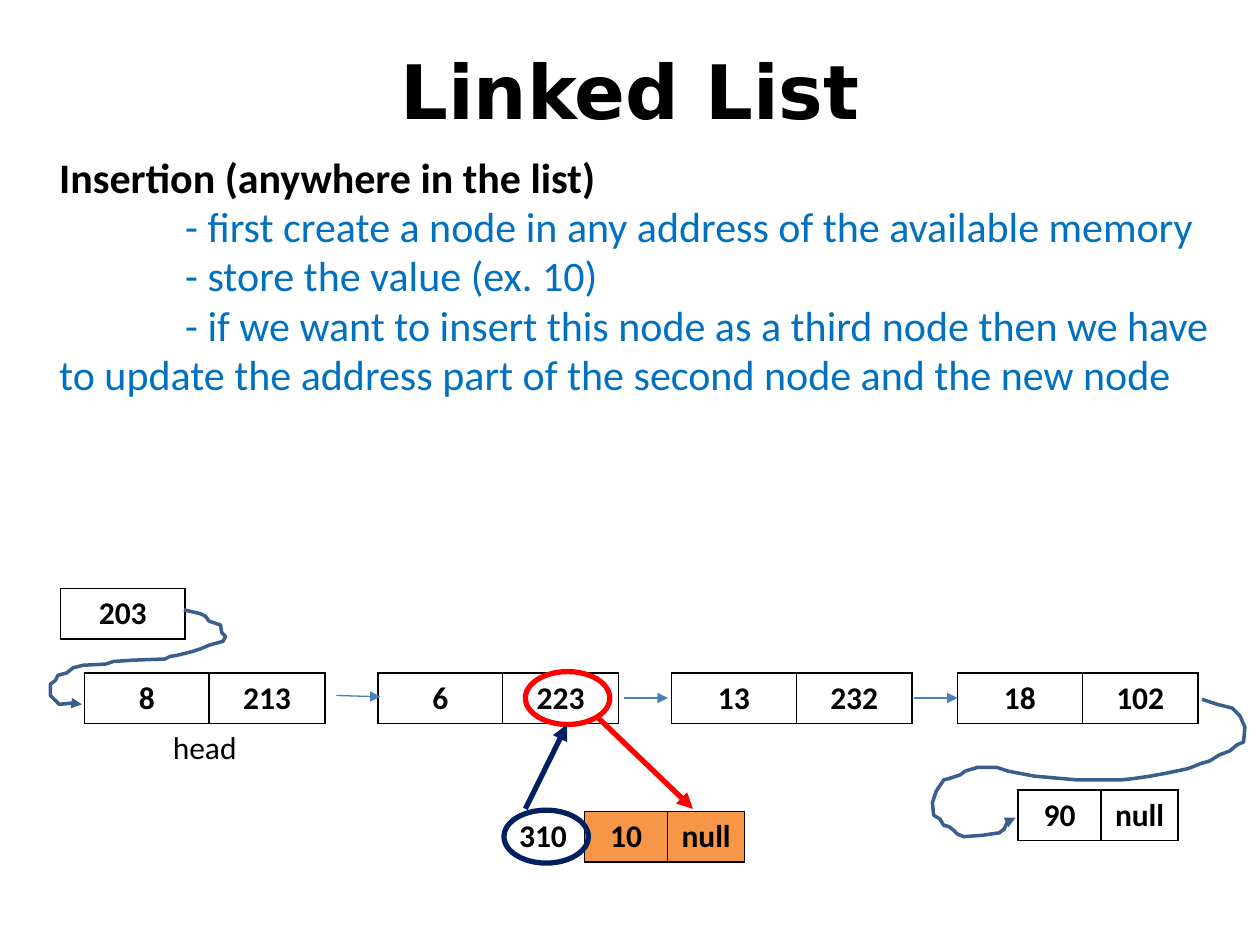
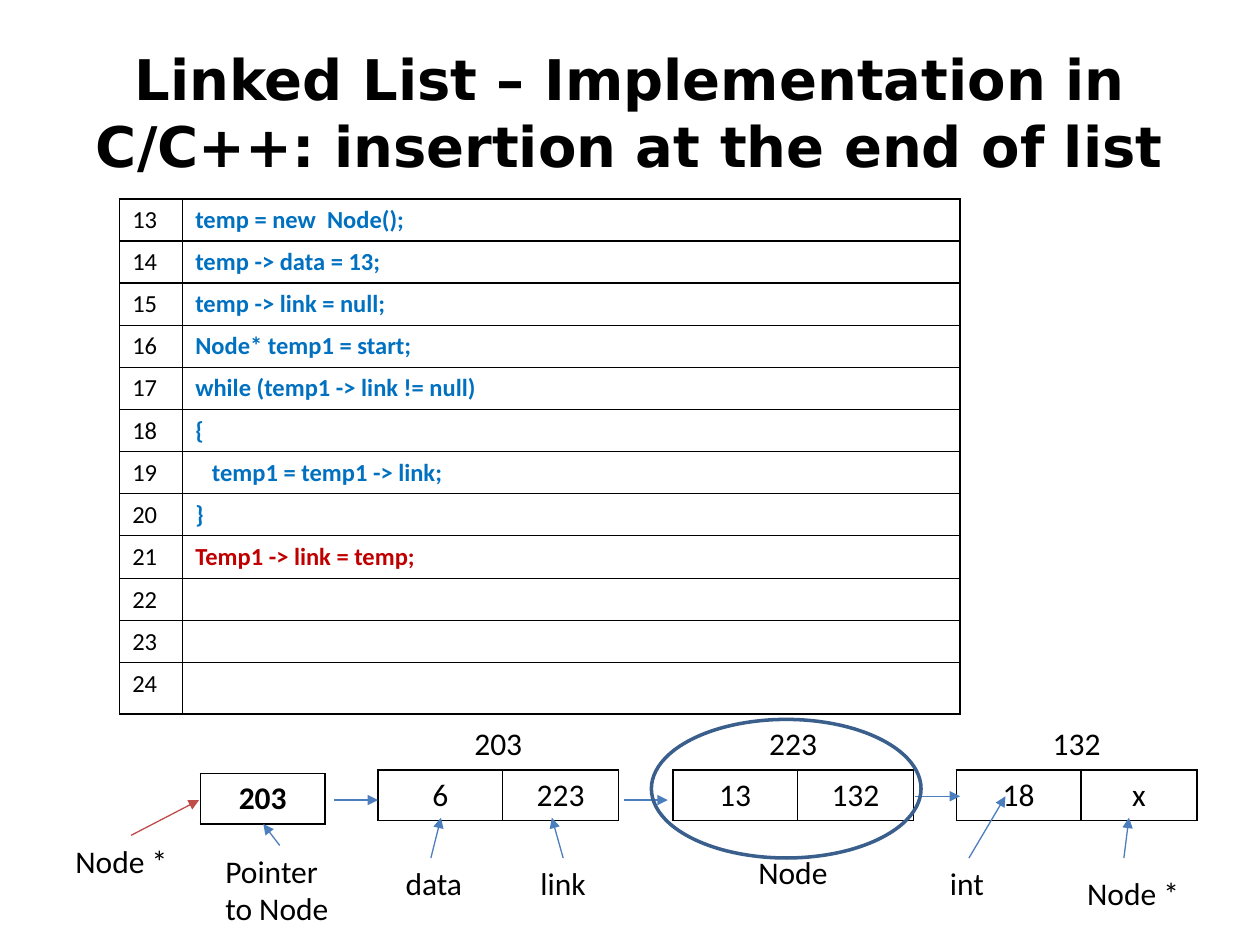
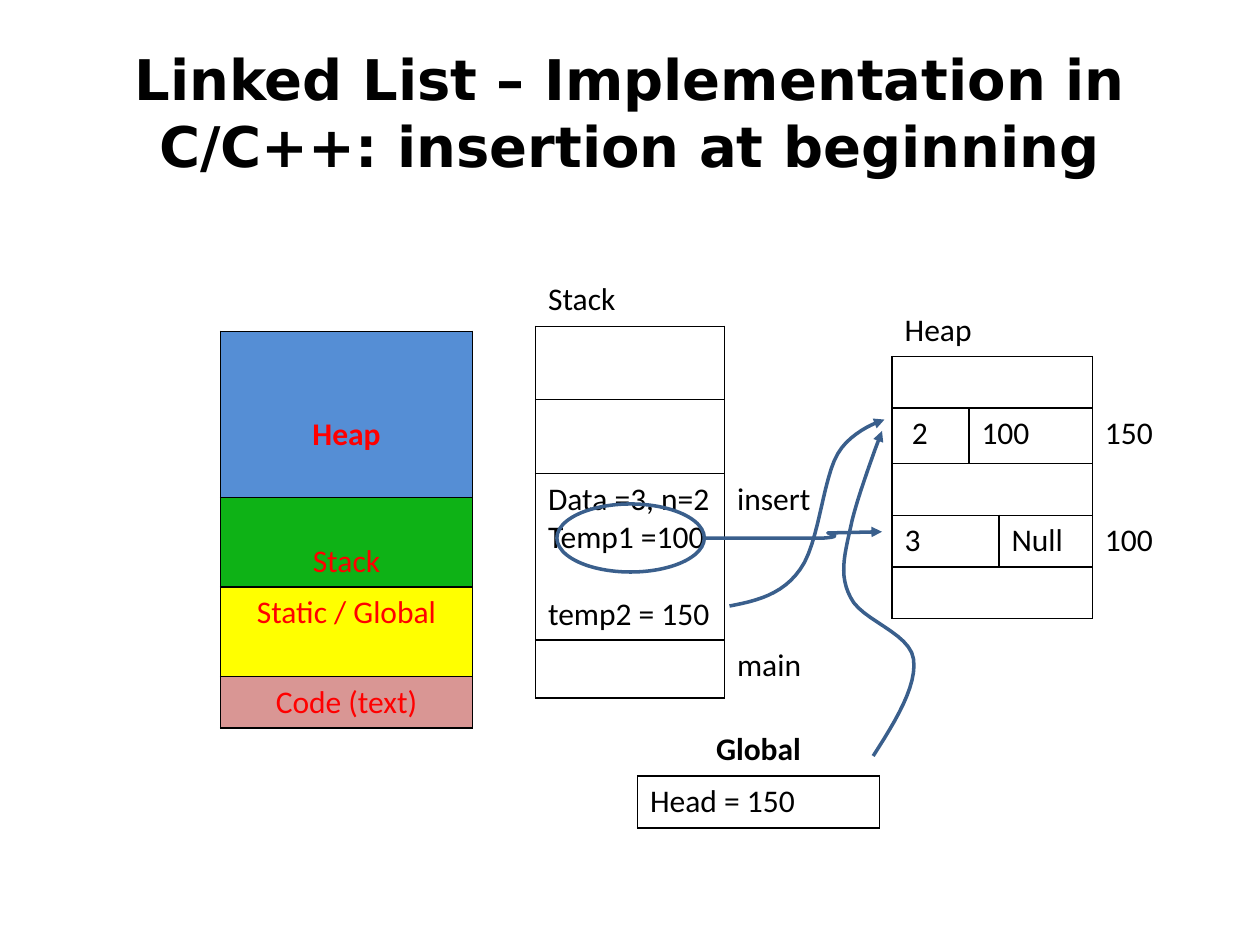
from dataclasses import dataclass, replace
from typing import NamedTuple

from lxml import etree
from pptx import Presentation
from pptx import util as u
from pptx.dml.color import RGBColor
from pptx.enum import shapes, text
from pptx.oxml.ns import qn

# Shared scale, fonts and colours
PX = 9144  # EMU per px, 100 px to the inch
BODY_FONT, TITLE_FONT = "Calibri", "DejaVu Sans"
BLACK = RGBColor(0x00, 0x00, 0x00)
BLUE = RGBColor(0x00, 0x70, 0xC0)
DARK_RED = RGBColor(0xC0, 0x00, 0x00)
RED = RGBColor(0xFF, 0x00, 0x00)
NAVY = RGBColor(0x00, 0x20, 0x60)
ARROW_BLUE = RGBColor(0x4B, 0x7E, 0xBC)
ARROW_RED = RGBColor(0xBF, 0x4C, 0x48)
OUTLINE = RGBColor(0x3A, 0x5F, 0x8C)
ORANGE = RGBColor(0xF7, 0x96, 0x46)
HEAP_BLUE = RGBColor(0x55, 0x8E, 0xD5)
STACK_GREEN = RGBColor(0x0E, 0xB2, 0x16)
GLOBAL_YELLOW = RGBColor(0xFF, 0xFF, 0x00)
CODE_PINK = RGBColor(0xD9, 0x96, 0x94)
Align, Anchor = text.PP_ALIGN, text.MSO_ANCHOR
LEFT, CENTER = Align.LEFT, Align.CENTER
TOP, MIDDLE = Anchor.TOP, Anchor.MIDDLE
NODE_COLS = (99, 92)
NODE_ROW = 40
Point = tuple[float, float]


@dataclass(frozen=True)
class Cell:
    text: str = ""
    size: int = 18
    bold: bool = False
    color: RGBColor = BLACK
    align: Align = LEFT
    anchor: Anchor = TOP
    span: int = 1
    borders: str = "LRTB"
    fill: RGBColor | None = None
    pad_top: int = 5
    pad_bottom: int = 5
    last_gap: int = 0


@dataclass(frozen=True)
class Arrow:
    x1: int
    y1: int
    x2: int
    y2: int
    color: RGBColor = ARROW_BLUE
    width: float = 0.75


class Label(NamedTuple):
    text: str
    x: int
    y: int
    w: int = 108
    h: int = 40


class Ring(NamedTuple):
    x: int
    y: int
    w: int
    h: int
    color: RGBColor = OUTLINE
    width: float = 2


def px(*values: float) -> list[int]:
    return [round(v * PX) for v in values]


# Text
def write(p, content: str, *, size: float = 18, font: str = BODY_FONT,
          color: RGBColor = BLACK, bold: bool = False, align: Align = LEFT) -> None:
    p.alignment = align
    r = p.add_run()
    r.text = content
    r.font.size = u.Pt(size)
    r.font.name = font
    r.font.bold = bold
    r.font.color.rgb = color


def add_box(s, x: int, y: int, w: int, h: int):
    tf = s.shapes.add_textbox(*px(x, y, w, h)).text_frame
    tf.word_wrap = True
    return tf


def add_title(s, content: str, size: float = 32) -> None:
    tf = add_box(s, 50, 30, 900, 125)
    write(tf.paragraphs[0], content, size=size, font=TITLE_FONT, bold=True, align=CENTER)


def add_label(s, label: Label) -> None:
    tf = add_box(s, label.x, label.y, label.w, label.h)
    write(tf.paragraphs[0], label.text)


# Tables
def set_borders(cell, sides: str) -> None:
    tc_pr = cell._tc.get_or_add_tcPr()
    for side in "LRTB":
        ln = etree.SubElement(tc_pr, qn(f"a:ln{side}"), w=str(u.Pt(1)))
        if side in sides:
            fill = etree.SubElement(ln, qn("a:solidFill"))
            etree.SubElement(fill, qn("a:srgbClr"), val=str(BLACK))
        else:
            etree.SubElement(ln, qn("a:noFill"))


def fill_cell(cell, c: Cell) -> None:
    cell.vertical_anchor = c.anchor
    cell.margin_top, cell.margin_bottom = px(c.pad_top, c.pad_bottom)
    tf = cell.text_frame
    if not c.text:
        tf.paragraphs[0]._p.get_or_add_endParaRPr().set("sz", str(c.size * 100))
        return
    lines = c.text.split("\n")
    for i, line in enumerate(lines):
        p = tf.add_paragraph() if i else tf.paragraphs[0]
        write(p, line, size=c.size, color=c.color, bold=c.bold, align=c.align)
        if i and i == len(lines) - 1:
            p.space_before = u.Pt(c.last_gap)


def add_table(s, x: int, y: int, cols, heights, rows: list[list[Cell]]) -> None:
    frame = s.shapes.add_table(len(heights), len(cols),
                               *px(x, y, sum(cols), sum(heights)))
    table = frame.table
    table.first_row = table.horz_banding = False
    for column, width in zip(table.columns, cols):
        column.width = px(width)[0]
    for row, height in zip(table.rows, heights):
        row.height = px(height)[0]
    for i, row in enumerate(rows):
        j = 0
        for c in row:
            for k in range(j, j + c.span):
                cell = table.cell(i, k)
                set_borders(cell, c.borders)
                if c.fill is None:
                    cell.fill.background()
                else:
                    cell.fill.solid()
                    cell.fill.fore_color.rgb = c.fill
            if c.span > 1:
                table.cell(i, j).merge(table.cell(i, j + c.span - 1))
            fill_cell(table.cell(i, j), c)
            j += c.span


def add_node(s, x: int, y: int, *values: str, cols=NODE_COLS, bold: bool = True,
             above: str = "", below: str = "") -> None:
    value = Cell(bold=bold, align=CENTER, anchor=MIDDLE)
    caption = replace(value, bold=False, span=len(cols))
    rows = [[replace(value, text=v) for v in values]]
    if above:
        rows.insert(0, [replace(caption, text=above, borders="B")])
    if below:
        rows.append([replace(caption, text=below, borders="T")])
    add_table(s, x, y, cols, [NODE_ROW] * len(rows), rows)


# Lines and outlines
def set_stroke(shape, color: RGBColor, width: float, arrow: bool = True) -> None:
    shape.line.color.rgb = color
    shape.line.width = u.Pt(width)
    if arrow:
        etree.SubElement(shape.line._get_or_add_ln(), qn("a:tailEnd"), type="triangle")


def add_arrow(s, a: Arrow) -> None:
    c = s.shapes.add_connector(shapes.MSO_CONNECTOR.STRAIGHT, *px(a.x1, a.y1, a.x2, a.y2))
    set_stroke(c, a.color, a.width)
    etree.SubElement(c._element.spPr, qn("a:effectLst"))


def add_ring(s, ring: Ring) -> None:
    sp = s.shapes.add_shape(shapes.MSO_SHAPE.OVAL, *px(ring.x, ring.y, ring.w, ring.h))
    sp.shadow.inherit = False
    sp.fill.background()
    set_stroke(sp, ring.color, ring.width, arrow=False)


def add_path(s, points: list[Point]) -> None:
    start, *rest = [tuple(px(*point)) for point in points]
    builder = s.shapes.build_freeform(*start, scale=1.0)
    builder.add_line_segments(rest, close=False)
    sp = builder.convert_to_shape()
    sp.shadow.inherit = False
    sp.fill.background()
    set_stroke(sp, OUTLINE, 2)


def bezier(controls: list[Point], steps: int = 12) -> list[Point]:
    """Points along joined cubic curves: a start, then three controls per curve."""
    points = [controls[0]]
    for i in range(0, len(controls) - 1, 3):
        curve = controls[i:i + 4]
        for n in range(1, steps + 1):
            t = n / steps
            weights = ((1 - t) ** 3, 3 * t * (1 - t) ** 2, 3 * t * t * (1 - t), t ** 3)
            points.append((sum(w * q[0] for w, q in zip(weights, curve)),
                           sum(w * q[1] for w, q in zip(weights, curve))))
    return points


# Slide 1: insertion anywhere
STEPS = [
    "- first create a node in any address of the available memory",
    "- store the value (ex. 10)",
    "- if we want to insert this node as a third node then we have to update "
    "the address part of the second node and the new node",
]
HEAD_PATH = [
    (146, 484), (159, 487), (163, 489), (166, 493), (175, 496), (176, 502), (179, 505),
    (177, 509), (166, 512), (159, 515), (153, 517), (141, 520), (135, 521), (131, 523),
    (104, 524), (90, 525), (84, 527), (66, 528), (58, 530), (53, 534), (46, 536),
    (44, 540), (40, 543), (40, 552), (47, 559), (57, 558), (65, 559),
]
LAST_PATH = [
    (954, 555), (966, 559), (978, 562), (984, 568), (988, 577), (987, 589), (982, 591),
    (976, 596), (968, 599), (960, 604), (953, 606), (943, 610), (924, 614), (918, 615),
    (913, 616), (899, 618), (890, 619), (855, 619), (821, 616), (800, 612), (791, 609),
    (776, 609), (766, 612), (762, 615), (753, 618), (749, 619), (743, 628), (740, 637),
    (741, 647), (746, 650), (749, 655), (753, 656), (757, 659), (760, 662), (765, 664),
    (779, 663), (793, 661), (797, 658), (801, 649), (806, 649),
]


def build_anywhere(s) -> None:
    add_title(s, "Linked List", 42.9)
    tf = add_box(s, 21, 117, 958, 252)
    tf.margin_left = tf.margin_right = 0
    for i, line in enumerate(["Insertion (anywhere in the list)", *STEPS]):
        p = tf.add_paragraph() if i else tf.paragraphs[0]
        write(p, line, size=24, color=BLUE if i else BLACK, bold=not i)
        p.line_spacing = 0.98
        p_pr = p._p.get_or_add_pPr()
        p_pr.set("marL", str(26 * PX))
        p_pr.set("indent", str(100 * PX if i else 0))

    add_node(s, 67, 534, "8", "213", below="head")
    for x, data, link in [(300, "6", "223"), (533, "13", "232"), (760, "18", "102")]:
        add_node(s, x, 534, data, link)
    add_node(s, 48, 467, "203", cols=(99,))
    add_node(s, 808, 627, "90", "null", cols=(66, 61))
    add_path(s, HEAD_PATH)
    add_path(s, LAST_PATH)

    new = Cell(bold=True, align=CENTER, anchor=MIDDLE, fill=ORANGE)
    add_table(s, 398, 644, (66, 66, 61), (NODE_ROW,), [[
        replace(new, text="310", borders="R", fill=None),
        replace(new, text="10"), replace(new, text="null")]])
    for ring in [Ring(417, 533, 67, 42, RED, 3), Ring(400, 643, 67, 42, NAVY, 3)]:
        add_ring(s, ring)
    for a in [Arrow(725, 554, 760, 554), Arrow(495, 554, 530, 554),
              Arrow(267, 552, 302, 553), Arrow(474, 569, 550, 642, RED, 3),
              Arrow(417, 642, 450, 575, NAVY, 3)]:
        add_arrow(s, a)


# Slide 2: insertion at the end
CODE = [
    "temp = new  Node();", "temp -> data = 13;", "temp -> link = null;",
    "Node* temp1 = start;", "while (temp1 -> link != null)", "{",
    "   temp1 = temp1 -> link;", "}", "Temp1 -> link = temp;", "", "", "",
]
FIRST_LINE, NEW_LINE = 13, 21


def build_end(s) -> None:
    add_title(s, "Linked List – Implementation in C/C++: insertion at the end of list")
    rows = [[Cell(str(n), size=14),
             Cell(line, size=14, bold=True, color=DARK_RED if n == NEW_LINE else BLUE)]
            for n, line in enumerate(CODE, FIRST_LINE)]
    add_table(s, 95, 158, (50, 617), [33] * 8 + [34, 33, 33, 41], rows)

    for x, address, data, link in [(300, "203", "6", "223"), (534, "223", "13", "132"),
                                   (759, "132", "18", "x")]:
        add_node(s, x, 571, data, link, bold=False, above=address)
    add_node(s, 159, 614, "203", cols=(99,))
    for label in [Label("Node *", 50, 663), Label("Pointer to Node", 169, 671, 106, 71),
                  Label("data", 312, 681), Label("link", 419, 681), Label("int", 744, 681),
                  Label("Node *", 853, 689), Label("Node", 592, 672)]:
        add_label(s, label)
    for a in [Arrow(726, 632, 762, 632), Arrow(495, 635, 530, 635),
              Arrow(265, 635, 300, 635), Arrow(104, 663, 158, 635, ARROW_RED),
              Arrow(222, 671, 209, 654), Arrow(342, 681, 350, 649),
              Arrow(447, 681, 438, 649), Arrow(769, 681, 798, 632),
              Arrow(892, 681, 896, 649)]:
        add_arrow(s, a)
    add_ring(s, Ring(517, 571, 214, 110))


# Slide 3: insertion at the beginning
def build_beginning(s) -> None:
    add_title(s, "Linked List – Implementation in C/C++: insertion at beginning")
    area = Cell(color=RED, align=CENTER, anchor=MIDDLE)
    add_table(s, 175, 263, (200,), (132, 71, 71, 41), [
        [replace(area, text="Heap", bold=True, fill=HEAP_BLUE, pad_top=37)],
        [replace(area, text="Stack", fill=STACK_GREEN, pad_top=35)],
        [replace(area, text="Static / Global", fill=GLOBAL_YELLOW, pad_bottom=35)],
        [replace(area, text="Code (text)", fill=CODE_PINK)]])

    side = Cell(borders="L")
    frame = Cell("Data =3, n=2\nTemp1 =100\ntemp2 = 150", last_gap=22)
    add_table(s, 425, 218, (150, 83), (41, 58, 59, 132, 46), [
        [Cell("Stack", span=2, borders="B")],
        [Cell(), side],
        [Cell(), side],
        [frame, replace(side, text="insert")],
        [Cell(), replace(side, text="main")]])

    free = [Cell(span=3), side]
    add_table(s, 708, 242, (61, 13, 74, 60), (41, 41, 44, 41, 41, 41), [
        [Cell("Heap", span=3, borders="B"), Cell(borders="")],
        free,
        [Cell(" 2"), Cell("100", span=2), replace(side, text="150")],
        free,
        [Cell("3", span=2), Cell("Null"), replace(side, text="100")],
        free])

    add_table(s, 506, 575, (192,), (41, 41), [
        [Cell("Global", bold=True, align=CENTER, borders="B")], [Cell("Head = 150")]])

    # Pointers from stack and global area into the heap
    add_ring(s, Ring(442, 400, 117, 54))
    add_path(s, bezier([(558, 427), (598, 427), (638, 427), (654, 427),
                        (671, 426), (657, 423), (657, 423)]) + [(700, 422)])
    add_path(s, bezier([(693, 600), (711, 572), (728, 544), (725, 523),
                        (722, 502), (683, 492), (675, 474), (666, 457), (670, 441),
                        (675, 419), (679, 397), (700, 342), (700, 342)]))
    add_path(s, bezier([(579, 481), (600, 477), (621, 472), (635, 452), (650, 432),
                        (653, 380), (665, 360), (676, 341), (702, 333), (702, 333)]))


def main() -> None:
    prs = Presentation()
    prs.slide_width, prs.slide_height = px(1000, 750)
    for build in (build_anywhere, build_end, build_beginning):
        build(prs.slides.add_slide(prs.slide_layouts[6]))
    prs.save("out.pptx")


if __name__ == "__main__":
    main()
